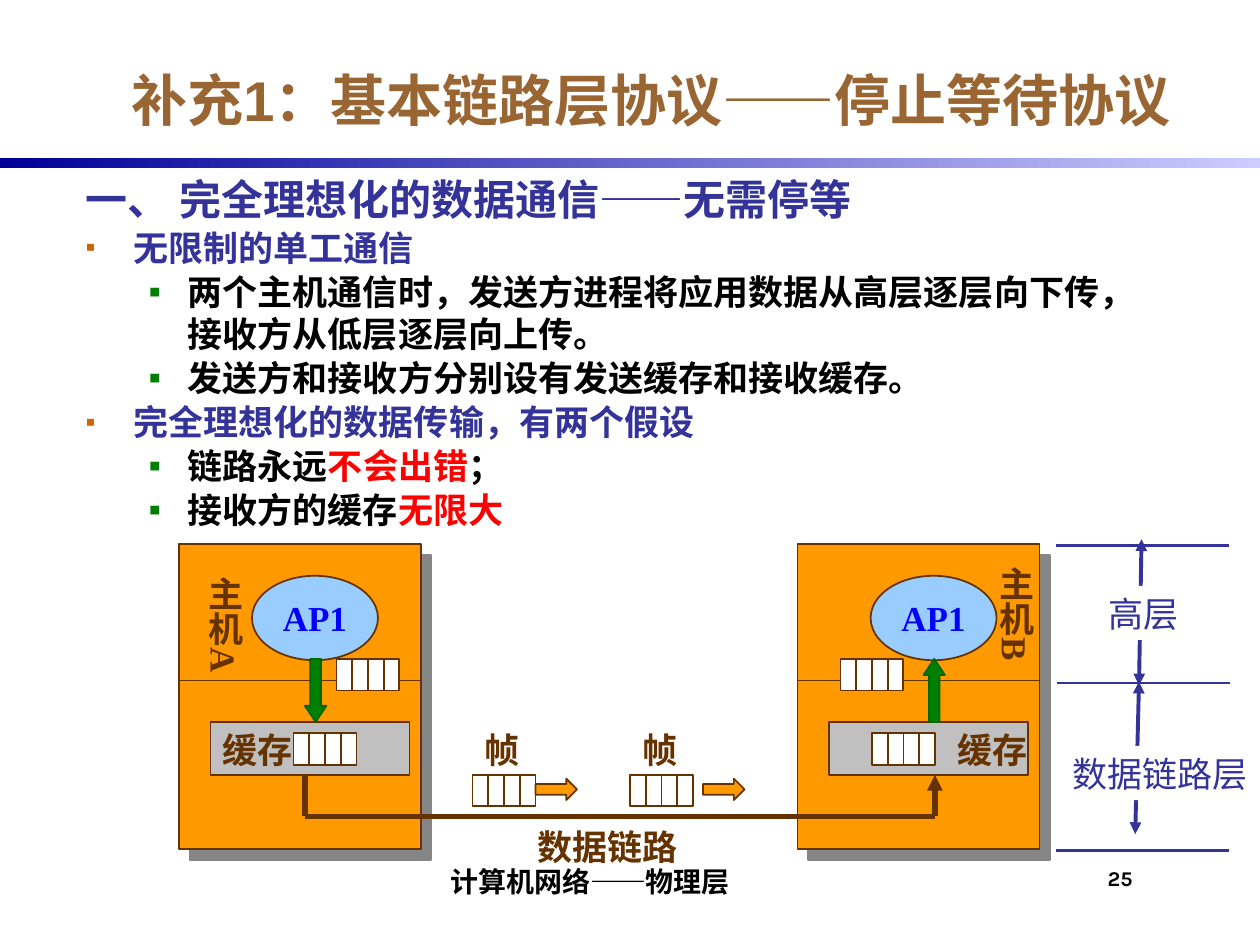
"""Build the slide on the idealised stop-and-wait data link protocol."""
from pptx import Presentation
from pptx.dml.color import RGBColor
from pptx.enum.shapes import MSO_CONNECTOR, MSO_SHAPE
from pptx.enum.text import MSO_ANCHOR, MSO_AUTO_SIZE, PP_ALIGN
from pptx.oxml.ns import qn
from pptx.util import Inches, Pt
from lxml import etree

RECTANGLE, OVAL = MSO_SHAPE.RECTANGLE, MSO_SHAPE.OVAL
UP, DOWN, RIGHT = MSO_SHAPE.UP_ARROW, MSO_SHAPE.DOWN_ARROW, MSO_SHAPE.RIGHT_ARROW
STRAIGHT = MSO_CONNECTOR.STRAIGHT
TOP, MIDDLE, BOTTOM = MSO_ANCHOR.TOP, MSO_ANCHOR.MIDDLE, MSO_ANCHOR.BOTTOM
LEFT, CENTER = PP_ALIGN.LEFT, PP_ALIGN.CENTER
NO_FIT = MSO_AUTO_SIZE.NONE

WHITE = RGBColor(0xFF, 0xFF, 0xFF)
BLACK = RGBColor(0, 0, 0)
RED = RGBColor(0xFF, 0, 0)
BLUE = RGBColor(0, 0, 0xFF)
NAVY = RGBColor(0, 0, 0x99)
LAVENDER = RGBColor(0xCC, 0xCC, 0xFF)
INDIGO = RGBColor(0x33, 0x33, 0x99)
TAN = RGBColor(0x99, 0x66, 0x33)
BROWN = RGBColor(0x66, 0x33, 0)
ORANGE = RGBColor(0xFF, 0x99, 0)
RUST = RGBColor(0xCC, 0x66, 0)
GREEN = RGBColor(0, 0x80, 0)
DARK_GREEN = RGBColor(0, 0x66, 0)
SKY = RGBColor(0x99, 0xCC, 0xFF)
SILVER = RGBColor(0xC0, 0xC0, 0xC0)
GRAY = RGBColor(0x86, 0x86, 0x86)

TITLE = {"name": "Arial", "size": Pt(32), "bold": True}
HEADING = {"name": "Arial", "size": Pt(24), "bold": True}
BODY = {"name": "Arial", "size": Pt(20), "bold": True}
LAYER = {"name": "Arial", "size": Pt(20), "bold": False}
DIAGRAM = {"name": "Times New Roman", "size": Pt(20), "bold": True}
FOOTER = {"name": "Karla", "size": Pt(16), "bold": True}
NUMBER = {"name": "Karla", "size": Pt(12), "bold": True}
INSETS = (0.1, 0.05, 0.1, 0.05)

OUTLINE = [
    (0, [("无限制的单工通信", INDIGO)]),
    (1, [("两个主机通信时，发送方进程将应用数据从高层逐层向下传，接收方从低层逐层向上传。", BLACK)]),
    (1, [("发送方和接收方分别设有发送缓存和接收缓存。", BLACK)]),
    (0, [("完全理想化的数据传输，有两个假设", INDIGO)]),
    (1, [("链路永远", BLACK), ("不会出错", RED), ("；", BLACK)]),
    (1, [("接收方的缓存", BLACK), ("无限大", RED)]),
]
LEVELS = [
    {"margin": 0.38, "indent": -0.38, "color": RUST, "percent": 80},
    {"margin": 0.81, "indent": -0.31, "color": GREEN, "percent": 100},
]
HOSTS = [
    {"left": 1.42, "name": "主机A", "name_at": (1.47, 4.48), "buffer_label": 1.67,
     "frames": [(2.67, 5.23), (2.33, 5.82)], "arrow": DOWN},
    {"left": 6.33, "name": "主机B", "name_at": (7.75, 4.4), "buffer_label": 7.5,
     "frames": [(6.67, 5.23), (6.92, 5.82)], "arrow": UP},
]


class SlideBuilder:
    """Hold the style and the current slide, and draw each kind of element."""

    def __init__(self, slide):
        self.slide = slide

    def frame(self, shape, insets=INSETS, anchor=TOP, wrap=True):
        text_frame = shape.text_frame
        values = dict(zip(("margin_left", "margin_top", "margin_right", "margin_bottom"),
                          map(Inches, insets)))
        values.update(vertical_anchor=anchor, word_wrap=wrap, auto_size=NO_FIT)
        for name, value in values.items():
            setattr(text_frame, name, value)
        return text_frame

    def run(self, paragraph, text, style, color):
        run = paragraph.add_run()
        run.text = text
        for name, value in style.items():
            setattr(run.font, name, value)
        run.font.color.rgb = color

    def fill_text(self, shape, text, style, color, align=LEFT, **layout):
        paragraph = self.frame(shape, **layout).paragraphs[0]
        paragraph.alignment = align
        self.run(paragraph, text, style, color)

    def place(self, shape, left, top, width, height):
        for name, value in zip(("left", "top", "width", "height"), (left, top, width, height)):
            setattr(shape, name, Inches(value))
        return shape

    def label(self, box, text, style=DIAGRAM, color=BROWN, **layout):
        shape = self.slide.shapes.add_textbox(*map(Inches, box))
        self.fill_text(shape, text, style, color, **layout)
        return shape

    def vertical_label(self, box, text):
        shape = self.label(box, text, insets=(0.05, 0.1, 0.05, 0.1))
        shape.text_frame._txBody.bodyPr.set("vert", "eaVert")

    def shape(self, kind, box, fill, line=BROWN):
        shape = self.slide.shapes.add_shape(kind, *map(Inches, box))
        shape.shadow.inherit = False
        shape.fill.solid()
        shape.fill.fore_color.rgb = fill
        if line is None:
            shape.line.fill.background()
        else:
            shape.line.color.rgb = line
            shape.line.width = Pt(1)
        return shape

    def arrow(self, kind, box, fill, line):
        self.shape(kind, box, fill, line).adjustments[1] = 0.5 if kind == RIGHT else 0.75

    def drop_shadow(self, shape):
        effects = shape._element.spPr.find(qn("a:effectLst"))
        shadow = etree.SubElement(effects, qn("a:outerShdw"), dist=str(Pt(8.5)),
                                  dir="2700000", algn="ctr", rotWithShape="0")
        etree.SubElement(shadow, qn("a:srgbClr"), val=str(GRAY))

    def line(self, start, end, color=BROWN, width=1, arrows=()):
        connector = self.slide.shapes.add_connector(STRAIGHT, *map(Inches, (*start, *end)))
        connector.line.color.rgb = color
        connector.line.width = Pt(width)
        for name in arrows:
            etree.SubElement(connector.line._get_or_add_ln(), qn(name), type="triangle")
        etree.SubElement(connector._element.spPr, qn("a:effectLst"))
        return connector

    def data_frame(self, left, top, width=0.5, height=0.25):
        box = self.shape(RECTANGLE, (left, top, width, height), WHITE)
        for column in range(1, 4):
            x = left + width * column / 4
            divider = self.line((x, top), (x, top + height))
            if column == 2:
                divider.begin_connect(box, 0)
                divider.end_connect(box, 2)

    def gradient_bar(self, box):
        bar = self.shape(RECTANGLE, box, NAVY, None)
        bar.fill.gradient()
        bar.fill.gradient_angle = 0
        for stop, color in zip(bar.fill.gradient_stops, (NAVY, LAVENDER)):
            stop.color.rgb = color

    def outline(self, shape, heading, items):
        text_frame = self.frame(shape)
        paragraph = text_frame.paragraphs[0]
        properties = paragraph._p.get_or_add_pPr()
        etree.SubElement(properties, qn("a:buNone"))
        paragraph.space_before = Pt(0)
        self.run(paragraph, heading, HEADING, INDIGO)
        for level, runs in items:
            paragraph = text_frame.add_paragraph()
            paragraph.level = level
            self.bullet(paragraph, **LEVELS[level])
            paragraph.space_before = Pt(1.2)
            for text, color in runs:
                self.run(paragraph, text, BODY, color)

    def bullet(self, paragraph, margin, indent, color, percent):
        properties = paragraph._p.get_or_add_pPr()
        properties.set("marL", str(Inches(margin)))
        properties.set("indent", str(Inches(indent)))
        bullet_color = etree.SubElement(properties, qn("a:buClr"))
        etree.SubElement(bullet_color, qn("a:srgbClr"), val=str(color))
        etree.SubElement(properties, qn("a:buSzPct"), val=str(percent * 1000))
        etree.SubElement(properties, qn("a:buFont"), typeface="Arial")
        etree.SubElement(properties, qn("a:buChar"), char="▪")

    def host(self, left, name, name_at, buffer_label, frames, arrow):
        self.drop_shadow(self.shape(RECTANGLE, (left, 4.32, 1.92, 2.42), ORANGE))
        process = self.shape(OVAL, (left + 0.58, 4.57, 1, 0.67), SKY)
        self.fill_text(process, "AP1", DIAGRAM, BLUE, CENTER, anchor=MIDDLE, wrap=False)
        self.vertical_label((*name_at, 0.53, 1.08), name)
        self.line((left, 5.4), (left + 1.92, 5.4))
        self.shape(RECTANGLE, (left + 0.25, 5.73, 1.58, 0.42), SILVER)
        self.label((buffer_label, 5.73, 0.83, 0.44), "缓存")
        for position in frames:
            self.data_frame(*position)
        self.arrow(arrow, (left + 1, 5.23, 0.17, 0.5), GREEN, DARK_GREEN)

    def layer(self, box, text, start, end):
        self.line(start, end, INDIGO, 2.25, ("a:headEnd", "a:tailEnd"))
        self.fill_text(self.shape(RECTANGLE, box, WHITE, None), text, LAYER, INDIGO, wrap=False)


def main():
    presentation = Presentation()
    presentation.slide_width, presentation.slide_height = Inches(10), Inches(7.5)
    slide = presentation.slides.add_slide(presentation.slide_layouts[1])
    builder = SlideBuilder(slide)
    builder.gradient_bar((0, 1.25, 10, 0.08))
    title = builder.place(slide.shapes.title, 0.92, 0.33, 8.5, 0.92)
    builder.fill_text(title, "补充1：基本链路层协议——停止等待协议", TITLE, TAN, CENTER, anchor=MIDDLE)
    body = builder.place(slide.placeholders[1], 0.58, 1.33, 8.5, 5)
    builder.outline(body, "一、 完全理想化的数据通信——无需停等", OUTLINE)
    for host in HOSTS:
        builder.host(**host)
    builder.line((2.42, 6.15), (2.42, 6.48), width=3)
    builder.line((2.42, 6.48), (7.42, 6.48), width=3)
    builder.line((7.42, 6.48), (7.42, 6.15), width=3, arrows=("a:tailEnd",))
    for left, arrow_left in ((3.75, 4.25), (5, 5.58)):
        builder.data_frame(left, 6.15)
        builder.arrow(RIGHT, (arrow_left, 6.18, 0.33, 0.17), ORANGE, BROWN)
        builder.label((left, 5.73, 0.58, 0.44), "帧")
    builder.label((4.17, 6.5, 1.67, 0.44), "数据链路")
    builder.layer((8.41, 5.92, 1.59, 0.43), "数据链路层", (9.04, 5.41), (9.01, 6.62))
    for left, top in ((8.39, 5.42), (8.38, 4.33), (8.38, 6.75)):
        builder.line((left, top), (left + 1.37, top), INDIGO, 1.5)
    builder.layer((8.7, 4.65, 0.76, 0.43), "高层", (9.06, 4.28), (9.04, 5.44))
    builder.label((2.08, 6.75, 5.17, 0.42), "计算机网络——物理层", FOOTER, BLACK,
                  align=CENTER, insets=(0.04, 0, 0, 0.04), anchor=BOTTOM)
    builder.label((8.75, 6.83, 0.58, 0.42), "25", NUMBER, BLACK, insets=(0.04, 0.04, 0, 0))
    presentation.save("out.pptx")


if __name__ == "__main__":
    main()
